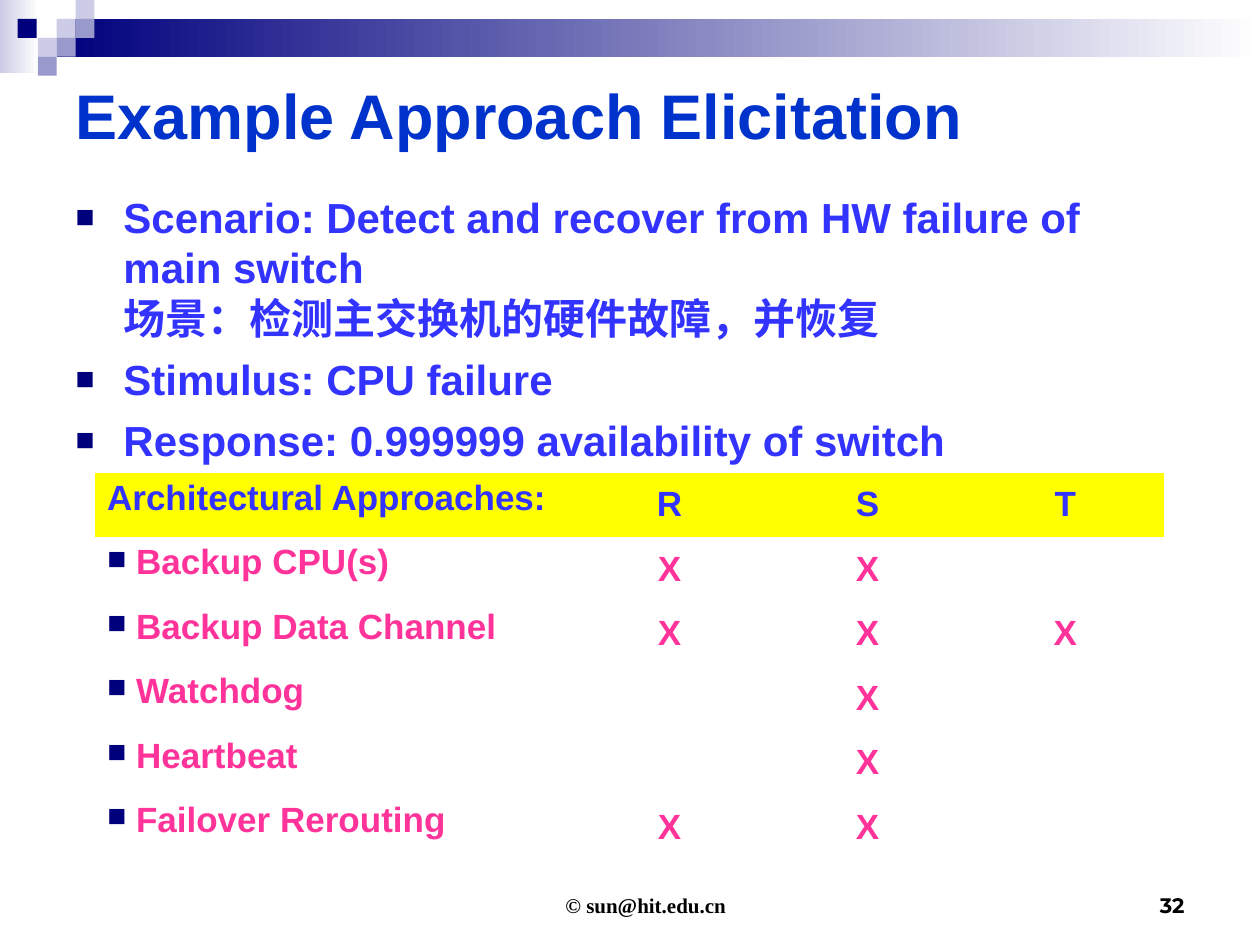
from lxml import etree
from pptx import Presentation
from pptx.dml.color import RGBColor
from pptx.enum.shapes import MSO_SHAPE
from pptx.enum.text import MSO_ANCHOR, MSO_AUTO_SIZE, PP_ALIGN
from pptx.oxml.ns import qn
from pptx.util import Inches, Pt

RECTANGLE = MSO_SHAPE.RECTANGLE
LEFT, CENTER, RIGHT = PP_ALIGN.LEFT, PP_ALIGN.CENTER, PP_ALIGN.RIGHT
TOP, MIDDLE, BOTTOM = MSO_ANCHOR.TOP, MSO_ANCHOR.MIDDLE, MSO_ANCHOR.BOTTOM
NO_AUTOFIT = MSO_AUTO_SIZE.NONE
PLAIN_TABLE = "{2D5ABB26-0587-4C30-8999-92F81FD0307C}"


def color(value):
    return RGBColor.from_string(value)


class SlideBuilder:
    font = "Arial"
    navy, lilac, pale, white = "00007D", "9999CC", "CCCCE6", "FFFFFF"
    heading, blue, pink, yellow = "0033CC", "3333FF", "FF3399", "FFFF00"

    def __init__(self, slide):
        self.slide = slide

    def place(self, shape, left, top, width, height):
        shape.left, shape.top = Inches(left), Inches(top)
        shape.width, shape.height = Inches(width), Inches(height)

    def format(self, para, size, fill, align=LEFT, font=None):
        para.alignment = align
        for span in para.runs:
            span.font.name = font or self.font
            span.font.size = Pt(size)
            span.font.bold = True
            span.font.color.rgb = color(fill)

    def bullet(self, para, hang):
        properties = para._p.get_or_add_pPr()
        properties.set("marL", str(Inches(hang)))
        properties.set("indent", str(-Inches(hang)))
        tint = etree.SubElement(properties, qn("a:buClr"))
        etree.SubElement(tint, qn("a:srgbClr"), val=self.navy)
        etree.SubElement(properties, qn("a:buSzPct"), val="75000")
        etree.SubElement(properties, qn("a:buChar"), char="■")

    def block(self, left, top, width, height, fill, fade=None):
        """Rectangle behind the title, plain or fading from left to right."""
        shape = self.slide.shapes.add_shape(
            RECTANGLE, Inches(left), Inches(top), Inches(width), Inches(height))
        shape.shadow.inherit = False
        shape.line.fill.background()
        if fade:
            shape.fill.gradient()
            shape.fill.gradient_angle = 0
            for stop, value in zip(shape.fill.gradient_stops, (fill, fade)):
                stop.color.rgb = color(value)
        else:
            shape.fill.solid()
            shape.fill.fore_color.rgb = color(fill)
        self.slide.shapes.title._element.addprevious(shape._element)

    def title(self, text, *place):
        box = self.slide.shapes.title
        self.place(box, *place)
        frame = box.text_frame
        frame.text = text
        frame.auto_size = NO_AUTOFIT
        frame.vertical_anchor = MIDDLE
        self.format(frame.paragraphs[0], 36, self.heading)

    def body(self, lines, *place):
        box = self.slide.placeholders[1]
        self.place(box, *place)
        frame = box.text_frame
        frame.text = "\n".join(lines)
        frame.auto_size = NO_AUTOFIT
        for index, para in enumerate(frame.paragraphs):
            self.bullet(para, 0.38)
            para.space_before = Pt(6 if index else 0)
            self.format(para, 24, self.blue)

    def table(self, rows, widths, left, top, width, height):
        frame = self.slide.shapes.add_table(
            len(rows), len(widths), Inches(left), Inches(top),
            Inches(width), Inches(height))
        table = frame.table
        table._tbl.tblPr.find(qn("a:tableStyleId")).text = PLAIN_TABLE
        for column, column_width in zip(table.columns, widths):
            column.width = Inches(column_width)
        for row, (name, marks) in enumerate(rows):
            for column, text in enumerate([name, *marks]):
                self.cell(table.cell(row, column), text.strip(), row == 0, column == 0)

    def cell(self, cell, text, is_header, is_name):
        if is_header:
            cell.fill.solid()
            cell.fill.fore_color.rgb = color(self.yellow)
        else:
            cell.fill.background()
        cell.vertical_anchor = TOP if is_name else MIDDLE
        cell.text = text
        para = cell.text_frame.paragraphs[0]
        if is_name and not is_header:
            self.bullet(para, 0.23)
        self.format(para, 20, self.blue if is_header else self.pink,
                    LEFT if is_name else CENTER)

    def footer(self, text, font, align, left, top, width, height, margin=0):
        box = self.slide.shapes.add_textbox(
            Inches(left), Inches(top), Inches(width), Inches(height))
        frame = box.text_frame
        frame.word_wrap = True
        frame.vertical_anchor = BOTTOM
        frame.text = text
        para = frame.paragraphs[0]
        para._p.get_or_add_pPr().set("marL", str(Inches(margin)))
        self.format(para, 12, "000000", align, font)


def main():
    deck = Presentation()
    deck.slide_width, deck.slide_height = Inches(10), Inches(7.5)
    page = SlideBuilder(deck.slides.add_slide(deck.slide_layouts[1]))

    # Header band and its squares
    page.block(0, 0, 0.31, 0.58, page.pale, page.white)
    page.block(0.45, 0.15, 9.55, 0.3, page.navy, page.white)
    for left, top, fill in [
        (0.45, 0.15, page.pale), (0.6, 0, page.pale), (0.6, 0.15, page.lilac),
        (0.3, 0.3, page.pale), (0.14, 0.15, page.navy),
        (0.45, 0.3, page.lilac), (0.3, 0.45, page.lilac),
    ]:
        page.block(left, top, 0.15, 0.15, fill)

    # Title and scenario list
    page.title("Example Approach Elicitation", 0.5, 0.5, 9, 0.81)
    page.body([
        "Scenario: Detect and recover from HW failure of main switch"
        "\v场景：检测主交换机的硬件故障，并恢复",
        "Stimulus: CPU failure",
        "Response: 0.999999 availability of switch",
    ], 0.5, 1.47, 9, 5.28)

    # Approaches against risks, sensitivities and tradeoffs
    page.table([
        ("Architectural Approaches:", "RST"),
        ("Backup CPU(s)", "XX "),
        ("Backup Data Channel", "XXX"),
        ("Watchdog", " X "),
        ("Heartbeat", " X "),
        ("Failover Rerouting", "XX "),
    ], [3.78, 1.57, 1.57, 1.57], 0.75, 3.75, 8.5, 3.07)

    # Footer
    page.footer("© sun@hit.edu.cn", "Times New Roman", CENTER, 3.42, 6.83, 3.17, 0.5, 0.24)
    page.footer("32", "Montserrat", RIGHT, 7.17, 6.83, 2.33, 0.5)

    deck.save("out.pptx")


if __name__ == "__main__":
    main()
